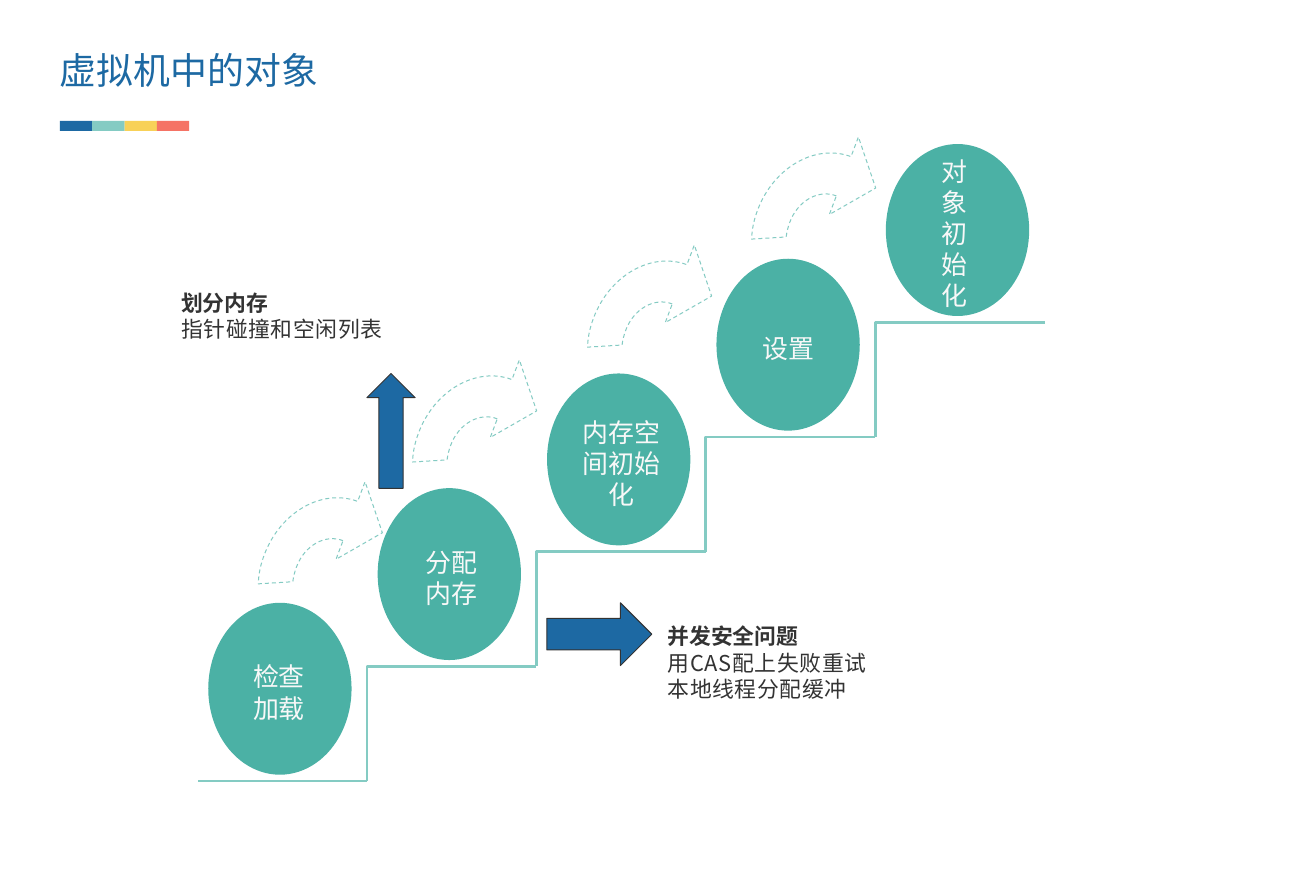
from lxml import etree
from pptx import Presentation
from pptx.dml.color import RGBColor
from pptx.enum.dml import MSO_LINE
from pptx.enum.shapes import MSO_CONNECTOR, MSO_SHAPE
from pptx.enum.text import MSO_ANCHOR, PP_ALIGN
from pptx.oxml.ns import qn
from pptx.util import Pt

RECT = MSO_SHAPE.RECTANGLE
OVAL = MSO_SHAPE.OVAL
UP_ARROW = MSO_SHAPE.UP_ARROW
RIGHT_ARROW = MSO_SHAPE.RIGHT_ARROW
STRAIGHT = MSO_CONNECTOR.STRAIGHT
DASH = MSO_LINE.DASH
TOP, MIDDLE = MSO_ANCHOR.TOP, MSO_ANCHOR.MIDDLE
LEFT, CENTER = PP_ALIGN.LEFT, PP_ALIGN.CENTER

BLUE = RGBColor(0x1D, 0x69, 0xA3)
MINT = RGBColor(0x84, 0xCB, 0xC3)
YELLOW = RGBColor(0xF8, 0xD1, 0x58)
CORAL = RGBColor(0xF5, 0x73, 0x65)
TEAL = RGBColor(0x4B, 0xB1, 0xA5)
DARK = RGBColor(0x33, 0x33, 0x33)
PALE = RGBColor(0xF8, 0xF8, 0xF8)

NOTO, CALIBRI = "Noto Sans CJK SC", "Calibri"

STAGES = [
    (["检查", "加载"], 25.2, 53.3),
    (["分配内存"], 27.2, 53.3),
    (["内存空间初始化"], 16.6, 76.3),
    (["设置"], 25.9, 53.3),
    (["对象初始化"], 24.7, 51.1),
]
RUN, RISE = 124.1, 84.05
STAIR_X, STAIR_Y = 268.9, 572.5
OVAL_X, OVAL_Y, OVAL_W, OVAL_H = 152.6, 441.8, 105, 126
LABEL_DROP, LABEL_H = 35.6, 59.8

SWEEP_W, SWEEP_H, SWEEP_TURN = 121.7, 100.8, 290.5
SWEEP_PLACES = [(180, 373.9), (293, 284.6), (421.2, 200.4), (541.4, 121.2)]
SWEEP_OUTLINE = [
    [(90.8, 50.4)],
    [(91, 36.5), (77.6, 25.2), (60.8, 25.2)],
    [(56.9, 25.2), (53.3, 25.7), (49.7, 26.5)],
    [(39.4, 3.4)],
    [(46.2, 1), (53.4, 0), (60.8, 0)],
    [(94.3, 0), (121.5, 22.6), (121.5, 50.4)],
    [(136.9, 50.4)],
    [(106.3, 75.4)],
    [(76.2, 50.4)],
]


class Board:
    def __init__(self, slide):
        self.shapes = slide.shapes

    def stroke(self, line, color, width, dash=None):
        line.color.rgb = color
        line.width = Pt(width)
        if dash:
            line.dash_style = dash

    def block(self, kind, x, y, w, h, fill, edge=None):
        block = self.shapes.add_shape(kind, Pt(x), Pt(y), Pt(w), Pt(h))
        block.shadow.inherit = False
        block.fill.solid()
        block.fill.fore_color.rgb = fill
        if edge is None:
            block.line.fill.background()
        else:
            self.stroke(block.line, edge, 0.75)

    def outline(self, points, width, dash=None, close=False):
        corners = [(Pt(x), Pt(y)) for x, y in points]
        builder = self.shapes.build_freeform(*corners[0])
        builder.add_line_segments(corners[1:], close=close)
        drawn = builder.convert_to_shape()
        drawn.shadow.inherit = False
        drawn.fill.background()
        self.stroke(drawn.line, MINT, width, dash)
        return drawn

    def sweep(self, x, y):
        ends = [part[-1] for part in SWEEP_OUTLINE]
        arrow = self.outline(ends, 0.75, DASH, close=True)
        arrow.left, arrow.top = Pt(x), Pt(y)
        arrow.width, arrow.height = Pt(SWEEP_W), Pt(SWEEP_H)
        arrow.rotation = SWEEP_TURN
        route = next(arrow._element.iter(qn("a:path")))
        for old in list(route):
            route.remove(old)
        route.set("w", str(Pt(SWEEP_W)))
        route.set("h", str(Pt(SWEEP_H)))
        for index, part in enumerate(SWEEP_OUTLINE):
            straight = "a:lnTo" if index else "a:moveTo"
            tag = "a:cubicBezTo" if len(part) == 3 else straight
            move = etree.SubElement(route, qn(tag))
            for px, py in part:
                etree.SubElement(move, qn("a:pt"), x=str(Pt(px)), y=str(Pt(py)))
        etree.SubElement(route, qn("a:close"))

    def line(self, x1, y1, x2, y2):
        tread = self.shapes.add_connector(STRAIGHT, Pt(x1), Pt(y1), Pt(x2), Pt(y2))
        self.stroke(tread.line, MINT, 2)
        etree.SubElement(tread._element.spPr, qn("a:effectLst"))

    def text(self, x, y, w, h, paragraphs, size, color, font=NOTO,
             align=LEFT, anchor=TOP, insets=(7.2, 3.6)):
        frame = self.shapes.add_textbox(Pt(x), Pt(y), Pt(w), Pt(h)).text_frame
        frame.word_wrap = True
        frame.vertical_anchor = anchor
        frame.margin_left = frame.margin_right = Pt(insets[0])
        frame.margin_top = frame.margin_bottom = Pt(insets[1])
        for index, (words, bold, spacing) in enumerate(paragraphs):
            paragraph = frame.add_paragraph() if index else frame.paragraphs[0]
            paragraph.alignment = align
            run = paragraph.add_run()
            run.text = words
            run.font.size = Pt(size)
            run.font.bold = bold
            run.font.name = font
            run.font.color.rgb = color
            properties = run._r.get_or_add_rPr()
            etree.SubElement(properties, qn("a:ea")).set("typeface", NOTO)
            if spacing:
                properties.set("spc", str(int(spacing * 100)))

    def note(self, x, y, w, h, heading, details):
        rows = [(heading, True, 0)] + [(detail, False, 0.5) for detail in details]
        self.text(x, y, w, h, rows, 16, DARK)


def main():
    deck = Presentation()
    deck.slide_width, deck.slide_height = Pt(964.1), Pt(652.3)
    board = Board(deck.slides.add_slide(deck.slide_layouts[6]))

    for index, color in enumerate((BLUE, MINT, YELLOW, CORAL)):
        board.block(RECT, 43.9 + 23.7 * index, 88.7, 23.7, 7.2, color)
    board.text(43.9, 35.3, 293, 32.4, [("虚拟机中的对象", False, 0)], 27, BLUE,
               insets=(0, 0))

    board.note(125.7, 208.9, 178.6, 46.1, "划分内存", ["指针碰撞和空闲列表"])
    board.note(482, 453.2, 295.9, 65.5, "并发安全问题",
               ["用CAS配上失败重试", "本地线程分配缓冲"])

    for index in range(len(STAGES) - 1):
        x, y = STAIR_X + RUN * index, STAIR_Y - RISE * index
        board.outline([(x, y), (x, y - RISE), (x + RUN, y - RISE)], 2)
    board.line(STAIR_X, STAIR_Y, STAIR_X - RUN, STAIR_Y)

    for x, y in SWEEP_PLACES:
        board.sweep(x, y)

    for index, (lines, indent, width) in enumerate(STAGES):
        x, y = OVAL_X + RUN * index, OVAL_Y - RISE * index
        board.block(OVAL, x, y, OVAL_W, OVAL_H, TEAL)
        board.text(x + indent, y + LABEL_DROP, width, LABEL_H,
                   [(words, False, 0) for words in lines], 19, PALE, CALIBRI,
                   CENTER, MIDDLE)

    board.block(UP_ARROW, 268.8, 273.8, 35.3, 84.2, BLUE, DARK)
    board.block(RIGHT_ARROW, 400.6, 441.8, 77, 46, BLUE, DARK)

    deck.save("out.pptx")


if __name__ == "__main__":
    main()
